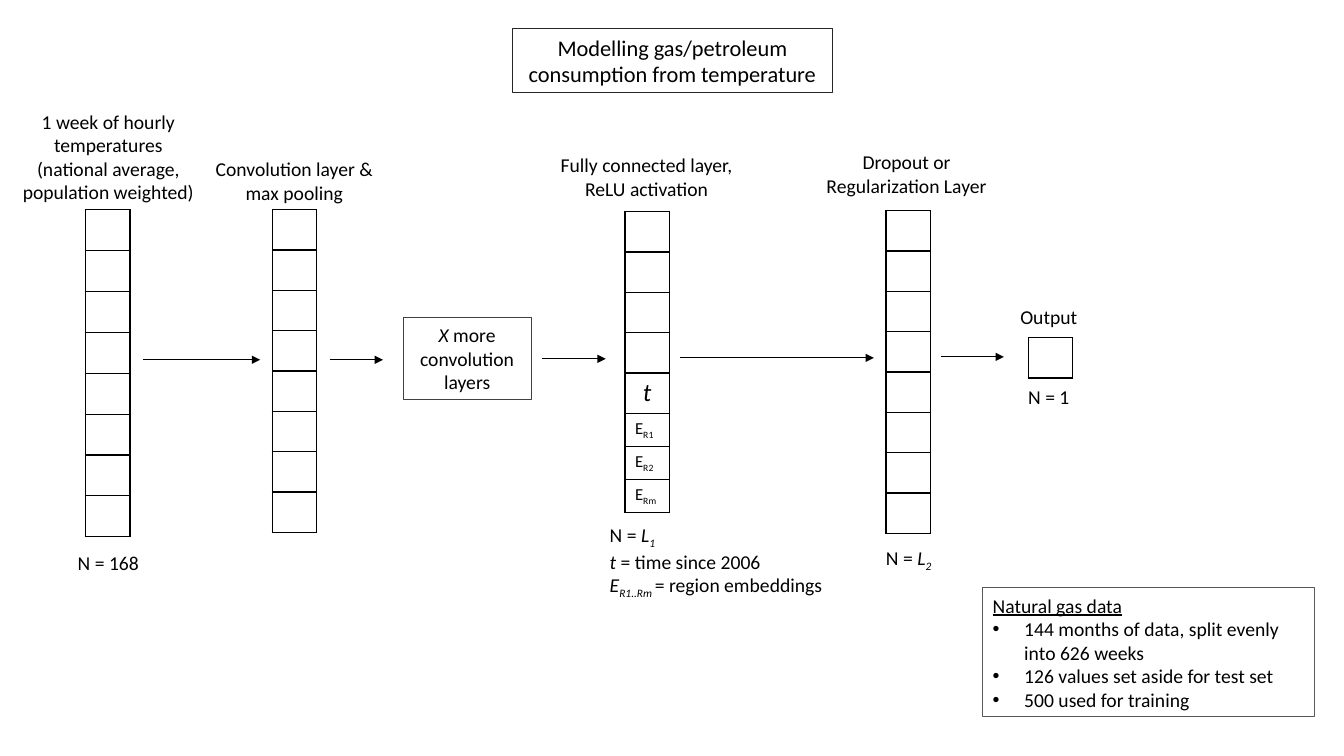
from lxml import etree
from pptx import Presentation
from pptx.dml import color
from pptx.enum import shapes, text
from pptx.oxml import ns
from pptx.util import Pt

CENTER = text.PP_ALIGN.CENTER
LEFT = text.PP_ALIGN.LEFT
BLACK = "000000"
CELL_WIDTH = 31.7
CELL_HEIGHT = 28.8
EMBEDDING_HEIGHT = 23.6


def rgb(value):
    return color.RGBColor.from_string(value)


def add_xml(parent, tag, **attributes):
    return etree.SubElement(parent, ns.qn(tag), attributes)


def write(frame, lines, size=14, align=CENTER):
    """Each line is a list of (words, style); styles: i italic, u underline, s subscript."""
    for index, pieces in enumerate(lines):
        paragraph = frame.paragraphs[0] if index == 0 else frame.add_paragraph()
        paragraph.alignment = align
        for words, style in pieces:
            run = paragraph.add_run()
            run.text = words
            run.font.name = "Calibri"
            run.font.size = Pt(size)
            run.font.color.rgb = rgb(BLACK)
            run.font.italic = "i" in style
            run.font.underline = "u" in style
            if "s" in style:
                run.font._element.set("baseline", "-25000")


def add_label(slide, box, lines, align=CENTER):
    frame = slide.shapes.add_textbox(*map(Pt, box)).text_frame
    frame.word_wrap = True
    write(frame, lines, align=align)


def add_box(slide, box, lines, outline, size=14, align=CENTER):
    panel = slide.shapes.add_shape(shapes.MSO_SHAPE.RECTANGLE, *map(Pt, box))
    panel.shadow.inherit = False
    panel.fill.background()
    panel.line.color.rgb = rgb(outline)
    panel.line.width = Pt(0.75)
    panel.text_frame.word_wrap = True
    panel.text_frame.vertical_anchor = text.MSO_ANCHOR.MIDDLE
    write(panel.text_frame, lines, size, align)
    return panel.text_frame


def add_bullet(paragraph):
    properties = paragraph._p.get_or_add_pPr()
    properties.set("marL", str(Pt(22.5)))
    properties.set("indent", str(-Pt(22.5)))
    add_xml(properties, "a:buFont", typeface="Arial")
    add_xml(properties, "a:buChar", char="•")


def add_arrow(slide, start, end, y):
    arrow = slide.shapes.add_connector(
        shapes.MSO_CONNECTOR.STRAIGHT, Pt(start), Pt(y), Pt(end), Pt(y))
    arrow.line.color.rgb = rgb(BLACK)
    arrow.line.width = Pt(0.5)
    add_xml(arrow.line._get_or_add_ln(), "a:tailEnd", type="triangle")
    add_xml(arrow._element.spPr, "a:effectLst")


def outline_cell(cell):
    properties = cell._tc.get_or_add_tcPr()
    for side in ("a:lnL", "a:lnR", "a:lnT", "a:lnB"):
        border = add_xml(properties, side, w=str(Pt(1)))
        add_xml(add_xml(border, "a:solidFill"), "a:srgbClr", val=BLACK)
    cell.fill.background()


def add_layer(slide, x, y, heights):
    frame = slide.shapes.add_table(
        len(heights), 1, Pt(x), Pt(y), Pt(CELL_WIDTH), Pt(sum(heights)))
    layer = frame.table
    layer.first_row = layer.horz_banding = False
    for row, height in zip(layer.rows, heights):
        row.height = Pt(height)
        cell = row.cells[0]
        cell.margin_top = cell.margin_bottom = Pt(2)
        cell.vertical_anchor = text.MSO_ANCHOR.MIDDLE
        outline_cell(cell)
    return layer


def main():
    deck = Presentation()
    deck.slide_width, deck.slide_height = Pt(960), Pt(540)
    slide = deck.slides.add_slide(deck.slide_layouts[6])

    add_box(slide, (365.8, 20.2, 229, 46.1),
            [[("Modelling gas/petroleum consumption from temperature", "")]], "262626", 16)
    add_box(slide, (288, 226.8, 91.4, 58.3),
            [[("X ", "i"), ("more convolution layers", "")]], "404040")
    facts = add_box(slide, (702, 419.8, 236.9, 92.2), [
        [("Natural gas data", "u")],
        [("144 months of data, split evenly into 626 weeks", "")],
        [("126 values set aside for test set", "")],
        [("500 used for training", "")],
    ], "595959", align=LEFT)
    for fact in facts.paragraphs[1:]:
        add_bullet(fact)

    add_layer(slide, 61.2, 149.8, [29.2] * 8)
    add_layer(slide, 194.4, 149.8, [CELL_HEIGHT] * 8)
    connected = add_layer(slide, 446.4, 151.2, [CELL_HEIGHT] * 5 + [EMBEDDING_HEIGHT] * 3)
    add_layer(slide, 632.9, 150.5, [CELL_HEIGHT] * 8)
    add_layer(slide, 734.4, 241.2, [CELL_HEIGHT])
    write(connected.cell(4, 0).text_frame, [[("t", "i")]], 18)
    for row, region in enumerate(("R1", "R2", "Rm"), 5):
        write(connected.cell(row, 0).text_frame, [[("E", ""), (region, "s")]], 12, LEFT)

    labels = [
        ((7.2, 74.9, 140.4, 74.9),
         [("1 week of hourly temperatures (national average, population weighted)", "")]),
        ((146.9, 108.7, 126.7, 41), [("Convolution layer & max pooling", "")]),
        ((380.9, 105.8, 162, 41), [("Fully connected layer, ReLU activation", "")]),
        ((577.4, 103.7, 140.4, 41), [("Dropout or Regularization Layer", "")]),
        ((717.1, 214.6, 64.1, 24.5), [("Output", "")]),
        ((43.9, 390.2, 67, 24.5), [("N = 168", "")]),
        ((615.6, 386.6, 67, 24.5), [("N = ", ""), ("L", "i"), ("2", "is")]),
        ((715.7, 271.4, 67, 24.5), [("N = 1", "")]),
    ]
    for box, pieces in labels:
        add_label(slide, box, [pieces])
    add_label(slide, (428.4, 370.1, 207.4, 58.3), [
        [("N = ", ""), ("L", "i"), ("1", "is")],
        [("t", "i"), (" = time since 2006", "")],
        [("E", "i"), ("R1..Rm ", "is"), ("= region embeddings", "")],
    ], LEFT)

    for start, end, y in ((102.2, 185.8, 257), (235.4, 273.6, 257), (387.4, 432.7, 256.3),
                          (486, 624.2, 255.6), (672.5, 717.1, 254.9)):
        add_arrow(slide, start, end, y)

    deck.save("out.pptx")


if __name__ == "__main__":
    main()
